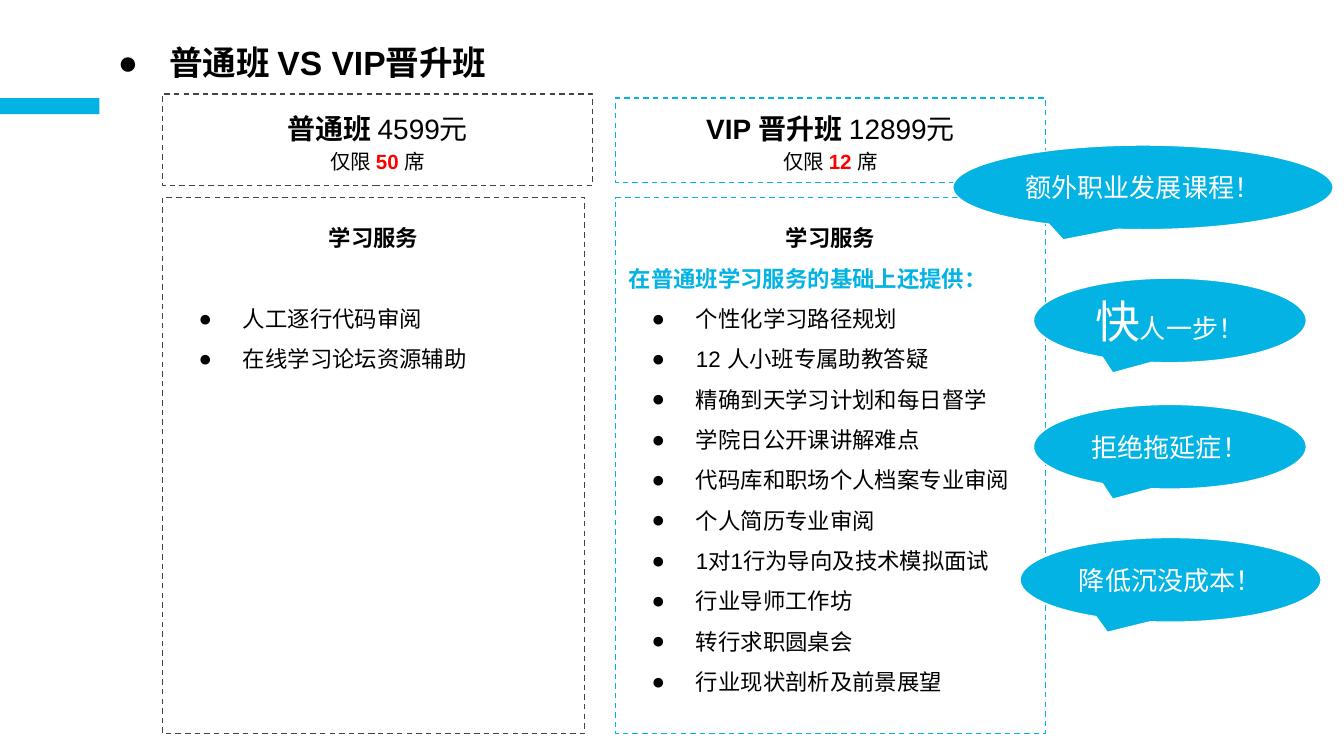
"""Build a slide comparing the standard class with the VIP class."""
from lxml import etree
from pptx import Presentation
from pptx.dml.color import RGBColor
from pptx.enum.dml import MSO_LINE
from pptx.enum.shapes import MSO_SHAPE
from pptx.enum.text import MSO_ANCHOR, PP_ALIGN
from pptx.oxml.ns import qn
from pptx.util import Inches, Pt

RECTANGLE = MSO_SHAPE.RECTANGLE
CALLOUT = MSO_SHAPE.OVAL_CALLOUT
DASH = MSO_LINE.DASH
TOP, MIDDLE = MSO_ANCHOR.TOP, MSO_ANCHOR.MIDDLE
LEFT, CENTER = PP_ALIGN.LEFT, PP_ALIGN.CENTER
COLORS = {"blue": "02B3E4", "gray": "434343", "white": "FFFFFF", "black": "000000", "red": "FF0000"}


def add_box(kind, place, fill, line=None, anchor=MIDDLE):
    box = page.shapes.add_shape(kind, *[Inches(value) for value in place])
    box.shadow.inherit = False
    box.fill.solid()
    box.fill.fore_color.rgb = RGBColor.from_string(COLORS[fill])
    if line:
        box.line.color.rgb = RGBColor.from_string(COLORS[line])
        box.line.width = Pt(0.75)
    else:
        box.line.fill.background()
    frame = box.text_frame
    frame.word_wrap = True
    frame.vertical_anchor = anchor
    frame.margin_left = frame.margin_right = Inches(0.1)
    frame.margin_top = frame.margin_bottom = Inches(0.1)
    return box


def add_para(frame, spans, align=LEFT, spacing=1.0, hanging=None):
    para = frame.paragraphs[0]
    if para.runs:
        para = frame.add_paragraph()
    para.alignment = align
    para.line_spacing = spacing
    if hanging:
        properties = para._p.get_or_add_pPr()
        properties.set("marL", str(Inches(0.5)))
        properties.set("indent", str(-Inches(hanging)))
        bullet_color = etree.SubElement(properties, qn("a:buClr"))
        etree.SubElement(bullet_color, qn("a:srgbClr"), val=COLORS["black"])
        etree.SubElement(properties, qn("a:buFont"), typeface="Arial")
        etree.SubElement(properties, qn("a:buChar"), char="●")
    for text, size, color, bold in spans:
        span = para.add_run()
        span.text = text
        span.font.name = "Arial"
        span.font.size = Pt(size)
        span.font.bold = bold
        span.font.color.rgb = RGBColor.from_string(COLORS[color])
    return para


deck = Presentation()
deck.slide_width = Inches(10)
deck.slide_height = deck.slide_width * 9 // 16
page = deck.slides.add_slide(deck.slide_layouts[6])

add_box(RECTANGLE, (0, 0.73, 0.74, 0.12), "blue")

title = page.shapes.add_textbox(Inches(0.66), Inches(0.15), Inches(6.73), Inches(0.63)).text_frame
title.word_wrap = True
title.vertical_anchor = MIDDLE
title.margin_left = title.margin_right = Inches(0.1)
title.margin_top = title.margin_bottom = Inches(0.1)
add_para(title, [("普通班 VS VIP晋升班", 18, "black", True)], hanging=0.38)

standard_services = ["人工逐行代码审阅", "在线学习论坛资源辅助"]
vip_services = [
    "个性化学习路径规划",
    "12 人小班专属助教答疑",
    "精确到天学习计划和每日督学",
    "学院日公开课讲解难点",
    "代码库和职场个人档案专业审阅",
    "个人简历专业审阅",
    "1对1行为导向及技术模拟面试",
    "行业导师工作坊",
    "转行求职圆桌会",
    "行业现状剖析及前景展望",
]
service_panels = [
    (1.21, 3.14, "gray", None, standard_services),
    (4.58, 3.2, "blue", "在普通班学习服务的基础上还提供：", vip_services),
]
for left, width, line, intro, services in service_panels:
    panel = add_box(RECTANGLE, (left, 1.47, width, 3.99), "white", line, TOP)
    panel.line.dash_style = DASH
    frame = panel.text_frame
    add_para(frame, [("学习服务", 12, "black", True)], CENTER, 1.5)
    if intro:
        add_para(frame, [(intro, 12, "blue", True)], spacing=1.5)
    for index, service in enumerate(services):
        para = add_para(frame, [(service, 12, "black", False)], spacing=1.5, hanging=0.33)
        if index == 0 and not intro:
            para.space_before = Pt(21.6)

class_headers = [
    (1.21, 0.7, 0.68, "gray", "普通班", "4599元", "50"),
    (4.58, 0.73, 0.63, "blue", "VIP 晋升班", "12899元", "12"),
]
for left, top, height, line, name, price, seats in class_headers:
    header = add_box(RECTANGLE, (left, top, 3.2, height), "white", line)
    header.line.dash_style = DASH
    frame = header.text_frame
    add_para(frame, [(name + " ", 15, "black", True), (price, 15, "black", False)], CENTER, 1.15)
    seat_spans = [("仅限 ", 11, "black", False), (seats, 11, "red", True), (" 席", 11, "black", False)]
    add_para(frame, seat_spans, CENTER, 1.15)

callouts = [
    (7.69, 2.07, 2.03, [("快", 24), ("人一步！", 14)]),
    (7.69, 3.01, 2.03, [("拒绝拖延症！", 14)]),
    (7.59, 4, 2.24, [("降低沉没成本！", 14)]),
    (7.09, 1.08, 2.83, [("额外职业发展课程！", 14)]),
]
for left, top, width, words in callouts:
    callout = add_box(CALLOUT, (left, top, width, 0.63), "blue", "white")
    callout.adjustments[0] = -0.21
    callout.adjustments[1] = 0.62
    add_para(callout.text_frame, [(text, size, "white", False) for text, size in words], CENTER)

deck.save("out.pptx")
